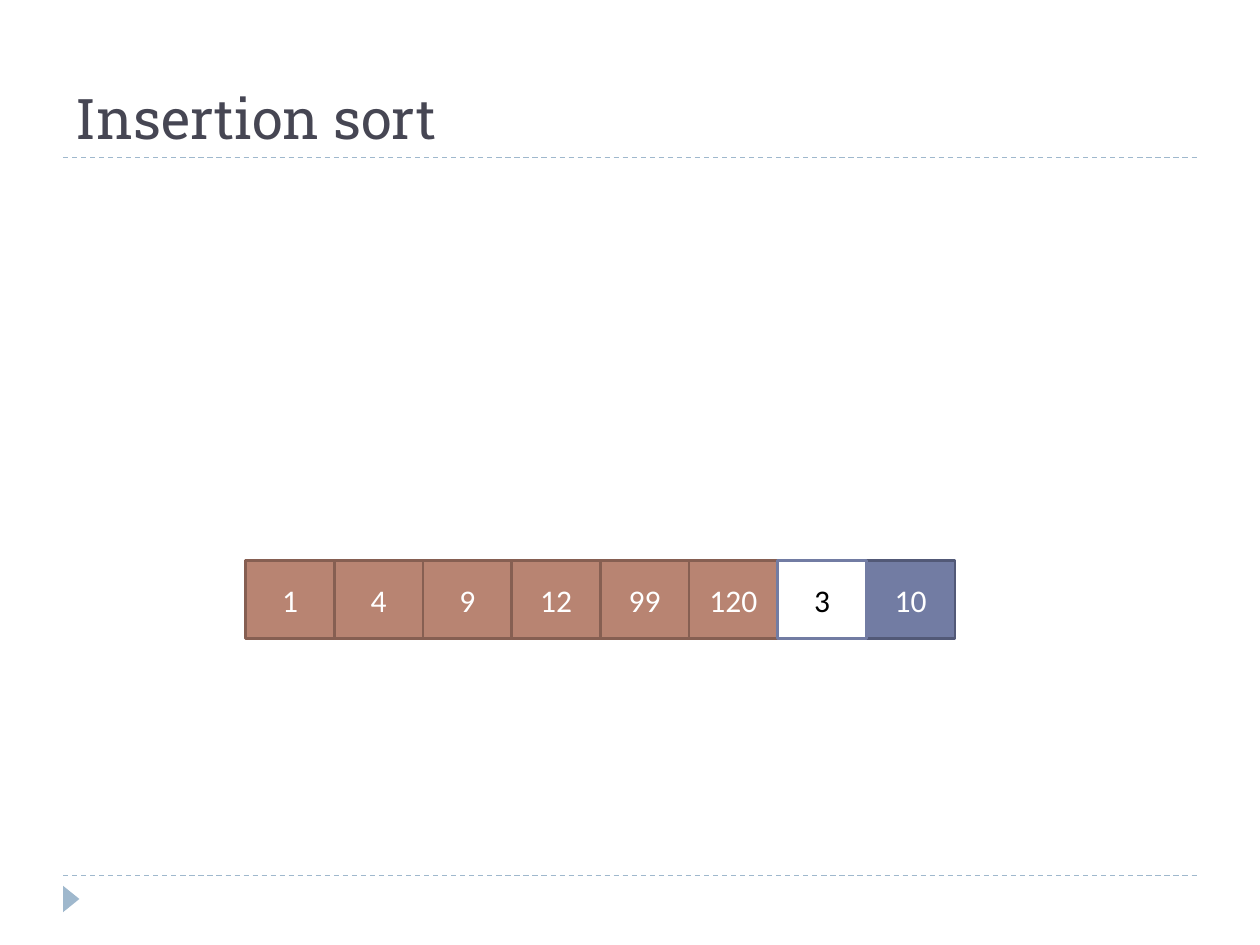
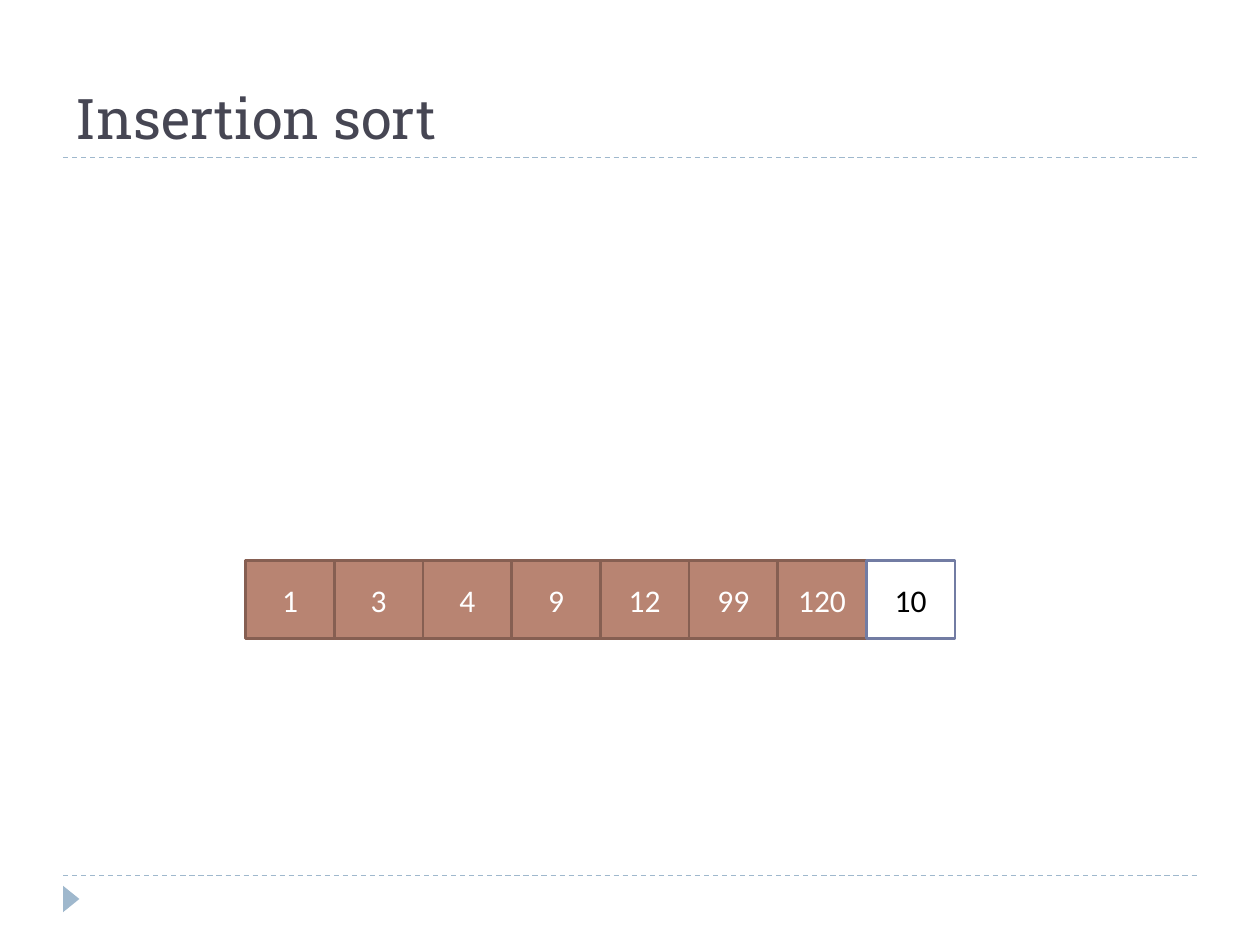
from lxml import etree
from pptx import Presentation
from pptx.dml.color import RGBColor
from pptx.enum.dml import MSO_LINE
from pptx.enum.shapes import MSO_CONNECTOR, MSO_SHAPE
from pptx.enum.text import MSO_ANCHOR, MSO_AUTO_SIZE, PP_ALIGN
from pptx.oxml.ns import qn
from pptx.util import Pt

PX = 9144
TITLE_ONLY = 5
RECT, TRIANGLE = MSO_SHAPE.RECTANGLE, MSO_SHAPE.ISOSCELES_TRIANGLE
STRAIGHT, DASH = MSO_CONNECTOR.STRAIGHT, MSO_LINE.DASH
LEFT, CENTER = PP_ALIGN.LEFT, PP_ALIGN.CENTER
MIDDLE, BOTTOM = MSO_ANCHOR.MIDDLE, MSO_ANCHOR.BOTTOM
NO_FIT = MSO_AUTO_SIZE.NONE

INK = RGBColor(0x46, 0x46, 0x53)
MIST = RGBColor(0x9F, 0xB8, 0xCD)
CLAY = RGBColor(0xB8, 0x84, 0x72)
UMBER = RGBColor(0x86, 0x5F, 0x52)
SLATE = RGBColor(0x72, 0x7C, 0xA3)
NAVY = RGBColor(0x52, 0x59, 0x77)
WHITE = RGBColor(0xFF, 0xFF, 0xFF)
BLACK = RGBColor(0x00, 0x00, 0x00)

SORTED = (CLAY, UMBER, WHITE)
CURRENT = (WHITE, SLATE, BLACK)
WAITING = (SLATE, NAVY, WHITE)

PAGE = (0, 0, 1000, 750)
HEAD = (50, 17, 900, 108)
ROW = (195, 445, 563, 62)
STEPS = [
    ([1, 4, 9, 12, 99, 120, 3, 10], 6),
    ([1, 3, 4, 9, 12, 99, 120, 10], 7),
]


def scale(*sizes):
    """Turn px lengths into whole EMU."""
    return [round(size * PX) for size in sizes]


def write(shape, text, size, font, color, align=CENTER, anchor=MIDDLE):
    """Put formatted text into a shape."""
    frame = shape.text_frame
    frame.text = text
    frame.word_wrap = True
    frame.auto_size = NO_FIT
    frame.vertical_anchor = anchor
    para = frame.paragraphs[0]
    para.alignment = align
    style = para.runs[0].font
    style.size, style.name = Pt(size), font
    style.color.rgb = color


def block(slide, kind, box, fill, edge=None):
    """Add a flat filled shape with an optional edge."""
    shape = slide.shapes.add_shape(kind, *scale(*box))
    shape.shadow.inherit = False
    shape.fill.solid()
    shape.fill.fore_color.rgb = fill
    if edge is None:
        shape.line.fill.background()
    else:
        shape.line.color.rgb = edge
        shape.line.width = Pt(1.5)
    return shape


def rule(slide, left, top, width):
    """Add a dashed level line."""
    line = slide.shapes.add_connector(
        STRAIGHT, *scale(left, top, left + width, top))
    line.line.color.rgb = MIST
    line.line.width = Pt(0.75)
    line.line.dash_style = DASH
    etree.SubElement(line._element.spPr, qn("a:effectLst"))


def frame(slide, box):
    """Draw the two rules and the corner marker of a page."""
    left, top, width, height = box
    for drop in (height - 55, 125):
        rule(slide, left + 50, top + drop, width - 100)
    mark = block(slide, TRIANGLE, (left + 46, top + height - 43, 21, 13), MIST)
    mark.rotation = 90


def head(slide, box, text):
    """Place the slide title."""
    title = slide.shapes.title
    title.left, title.top, title.width, title.height = scale(*box)
    write(title, text, 32, "Roboto Slab", INK, align=LEFT, anchor=BOTTOM)


def cells(slide, box, values, current):
    """Draw the array, with the current cell on top."""
    left, top, width, height = box
    step = width / len(values)
    for i in sorted(range(len(values)), key=lambda i: i == current):
        if i < current:
            look = SORTED
        elif i == current:
            look = CURRENT
        else:
            look = WAITING
        fill, edge, ink = look
        cell = block(slide, RECT, (left + i * step, top, step, height),
                     fill, edge)
        write(cell, str(values[i]), 18, "Calibri", ink)


def main():
    """Build and save the deck."""
    deck = Presentation()
    deck.slide_width, deck.slide_height = scale(*PAGE[2:])
    for values, current in STEPS:
        slide = deck.slides.add_slide(deck.slide_layouts[TITLE_ONLY])
        frame(slide, PAGE)
        head(slide, HEAD, "Insertion sort")
        cells(slide, ROW, values, current)
    deck.save("out.pptx")


if __name__ == "__main__":
    main()
